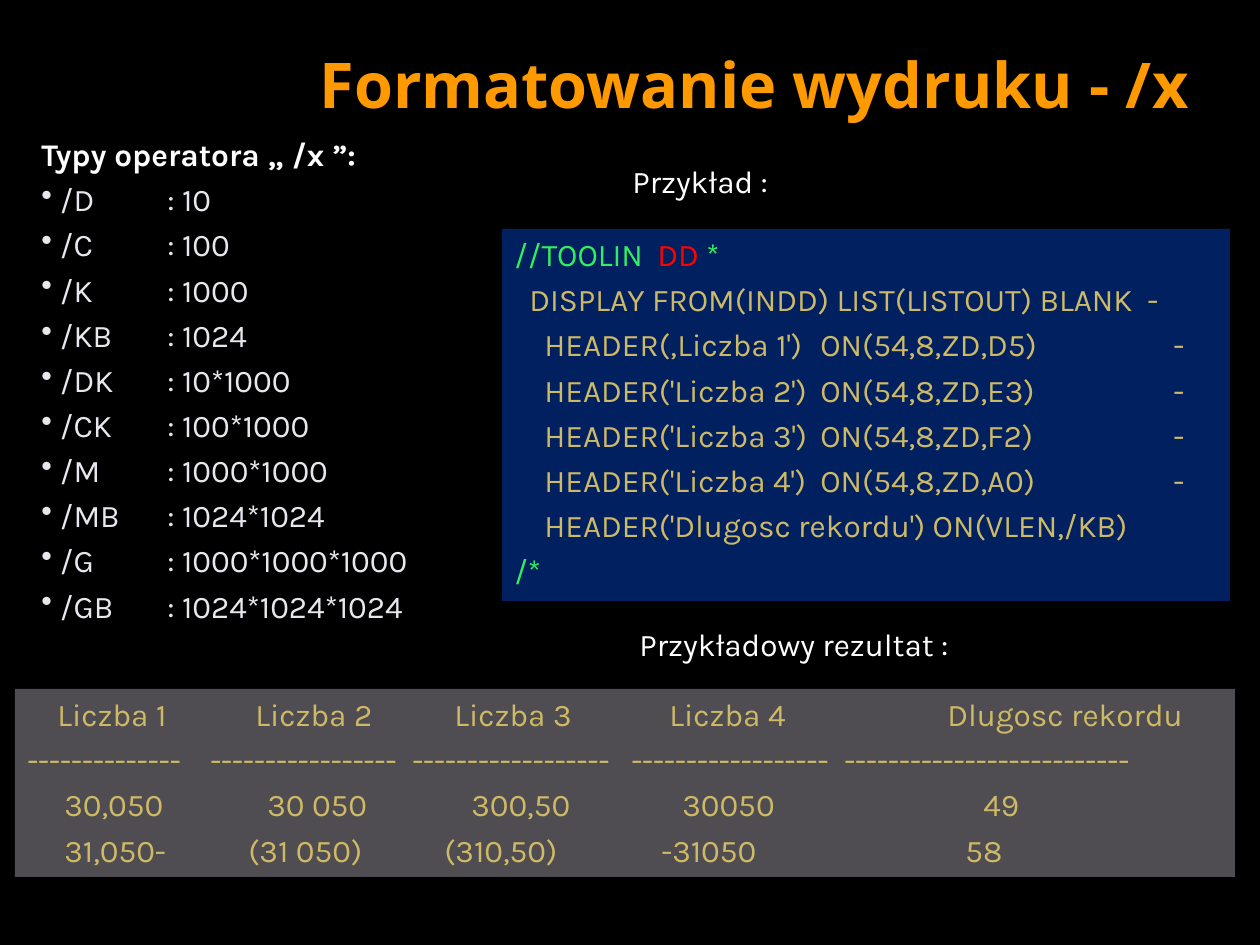
import lxml.etree
import pptx
import pptx.dml.color
import pptx.enum.shapes
import pptx.enum.text
import pptx.oxml.ns
import pptx.util

PX = 914400 / 126
BLACK = pptx.dml.color.RGBColor(0x00, 0x00, 0x00)
WHITE = pptx.dml.color.RGBColor(0xFF, 0xFF, 0xFF)
ORANGE = pptx.dml.color.RGBColor(0xFF, 0x99, 0x00)
PALE = pptx.dml.color.RGBColor(0xE9, 0xE7, 0xED)
GREEN = pptx.dml.color.RGBColor(0x32, 0xEE, 0x5F)
RED = pptx.dml.color.RGBColor(0xFF, 0x01, 0x01)
SAND = pptx.dml.color.RGBColor(0xCE, 0xB9, 0x66)
NAVY = pptx.dml.color.RGBColor(0x00, 0x20, 0x60)
GREY = pptx.dml.color.RGBColor(0x4F, 0x4D, 0x52)

BODY = {"name": "Karla", "size": pptx.util.Pt(18), "bold": False}
HEADING = {"name": "Noto Sans", "size": pptx.util.Pt(36), "bold": True}
LEFT = pptx.enum.text.PP_ALIGN.LEFT
RIGHT = pptx.enum.text.PP_ALIGN.RIGHT

OPERATORS = [
    ("/D", "10"), ("/C", "100"), ("/K", "1000"), ("/KB", "1024"),
    ("/DK", "10*1000"), ("/CK", "100*1000"), ("/M", "1000*1000"),
    ("/MB", "1024*1024"), ("/G", "1000*1000*1000"), ("/GB", "1024*1024*1024"),
]
FIELDS = [("‚Liczba 1'", "D5"), ("'Liczba 2'", "E3"), ("'Liczba 3'", "F2"), ("'Liczba 4'", "A0")]
RESULT_ROWS = [
    ((30, 228, 427, 642, 920), ("Liczba 1", "Liczba 2", "Liczba 3", "Liczba 4", "Dlugosc rekordu")),
    ((0, 183, 385, 604, 817), ["-" * count for count in (14, 17, 18, 18, 26)]),
    ((37, 240, 444, 655, 956), ("30,050", "30 050", "300,50", "30050", "49")),
    ((37, 221, 417, 634, 938), ("31,050-", "(31 050)", "(310,50)", "-31050", "58")),
]


def emu(pixels):
    """Turn px into EMU."""
    return pptx.util.Emu(round(pixels * PX))


def apply(target, values):
    """Set every attribute named in a dict of format values."""
    for name, value in values.items():
        setattr(target, name, value)


def add_span(para, text, colour, font=BODY):
    """Add one coloured run to a paragraph."""
    span = para.add_run()
    span.text = text
    apply(span.font, font)
    span.font.color.rgb = colour


def add_element(parent, tag, **attributes):
    """Append a DrawingML element."""
    return lxml.etree.SubElement(parent, pptx.oxml.ns.qn(tag), attributes)


def add_line(frame, spans, font=BODY, stops=(), bullet=None):
    """Add a paragraph of (text, colour) spans with tab stops and a bullet."""
    first = frame.paragraphs[0]
    para = frame.add_paragraph() if first.runs else first
    apply(para, {"alignment": LEFT, "space_before": pptx.util.Pt(4.2)})
    for text, colour in spans:
        add_span(para, text, colour, font)
    properties = para._p.get_or_add_pPr()
    if bullet:
        add_element(properties, "a:buChar", char=bullet)
    if stops:
        tabs = add_element(properties, "a:tabLst")
        for stop in stops:
            add_element(tabs, "a:tab", pos=str(emu(stop)), algn="l")


def add_columns(frame, positions, cells, colour):
    """Add a line whose cells start at the given px positions."""
    stops = [position for position in positions if position]
    lead = "\t" if positions[0] else ""
    add_line(frame, [(lead + "\t".join(cells), colour)], stops=stops)


def add_panel(slide, box, fill=None, wrap=True):
    """Add a text box, or a filled rectangle, and return its text frame."""
    place = [emu(length) for length in box]
    if fill is None:
        panel = slide.shapes.add_textbox(*place)
    else:
        panel = slide.shapes.add_shape(pptx.enum.shapes.MSO_SHAPE.RECTANGLE, *place)
        panel.shadow.inherit = False
        panel.fill.solid()
        panel.fill.fore_color.rgb = fill
        panel.line.fill.background()
    apply(panel.text_frame, {"word_wrap": wrap, "vertical_anchor": pptx.enum.text.MSO_ANCHOR.TOP})
    return panel.text_frame


def add_title(slide, box, text):
    """Place and format the title placeholder."""
    title = slide.shapes.title
    apply(title, dict(zip(("left", "top", "width", "height"), map(emu, box))))
    frame = title.text_frame
    apply(frame, {"word_wrap": True, "vertical_anchor": pptx.enum.text.MSO_ANCHOR.MIDDLE})
    para = frame.paragraphs[0]
    para.alignment = RIGHT
    add_span(para, text, ORANGE, HEADING)


def add_operators(slide, box):
    """List the operator types and their divisors."""
    frame = add_panel(slide, box)
    add_line(frame, [("Typy operatora „ /x ”:", WHITE)], {**BODY, "bold": True})
    for operator, divisor in OPERATORS:
        add_line(frame, [(f" {operator}\t: {divisor}", PALE)], stops=[126], bullet="•")


def add_label(slide, box, text):
    """Add a one-line caption."""
    add_line(add_panel(slide, box, wrap=False), [(text, WHITE)])


def add_code(slide, box):
    """Show the sample job control statements."""
    frame = add_panel(slide, box, NAVY)
    add_line(frame, [("//TOOLIN\t", GREEN), ("DD", RED), (" *", GREEN)], stops=[143])
    add_columns(frame, (15, 633), ("DISPLAY FROM(INDD) LIST(LISTOUT) BLANK", "-"), SAND)
    for header, mask in FIELDS:
        cells = (f"HEADER({header})", f"ON(54,8,ZD,{mask})", "-")
        add_columns(frame, (30, 306, 659), cells, SAND)
    add_columns(frame, (30,), ("HEADER('Dlugosc rekordu') ON(VLEN,/KB)",), SAND)
    add_line(frame, [("/*", GREEN)])


def add_result(slide, box):
    """Show the printed report."""
    frame = add_panel(slide, box, GREY)
    for positions, cells in RESULT_ROWS:
        add_columns(frame, positions, cells, SAND)


def main():
    """Build and save the deck."""
    deck = pptx.Presentation()
    apply(deck, {"slide_width": emu(1260), "slide_height": emu(945)})
    slide = deck.slides.add_slide(deck.slide_layouts[5])
    slide.background.fill.solid()
    slide.background.fill.fore_color.rgb = BLACK
    add_title(slide, (63, 38, 1138, 91), "Formatowanie wydruku - /x")
    add_operators(slide, (29, 129, 428, 509))
    add_label(slide, (620, 156, 175, 50), "Przykład :")
    add_code(slide, (502, 229, 728, 372))
    add_label(slide, (627, 619, 347, 50), "Przykładowy rezultat :")
    add_result(slide, (15, 689, 1220, 188))
    deck.save("out.pptx")


if __name__ == "__main__":
    main()
